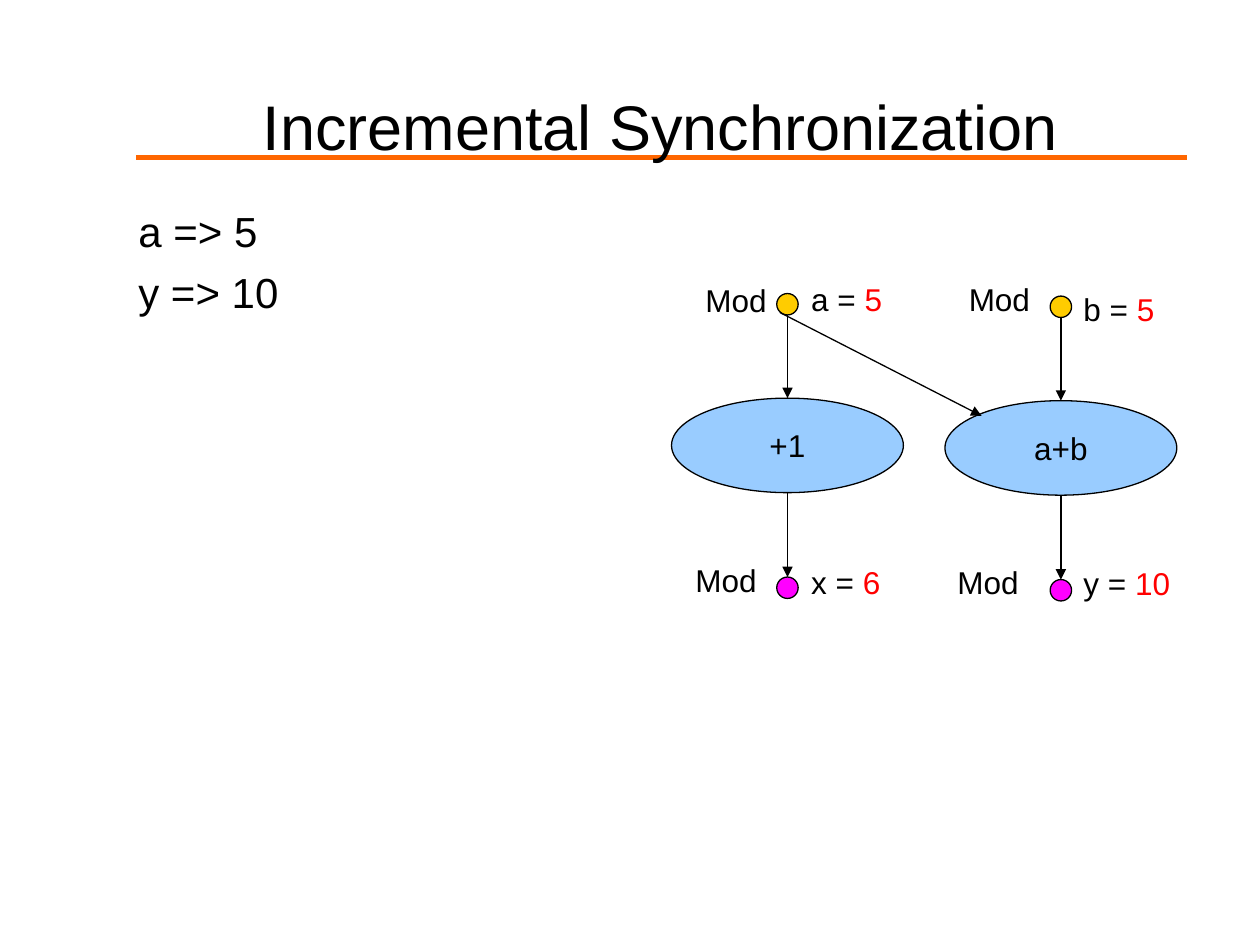
from lxml import etree
from pptx import Presentation
from pptx.dml.color import RGBColor
from pptx.enum.shapes import MSO_CONNECTOR, MSO_SHAPE
from pptx.enum.text import MSO_ANCHOR, MSO_AUTO_SIZE, PP_ALIGN
from pptx.oxml.ns import qn
from pptx.util import Inches, Pt

BLACK = RGBColor(0x00, 0x00, 0x00)
RED = RGBColor(0xFF, 0x00, 0x00)
ORANGE = RGBColor(0xFF, 0x66, 0x00)
GOLD = RGBColor(0xFF, 0xCC, 0x00)
PINK = RGBColor(0xFF, 0x00, 0xFF)
BLUE = RGBColor(0x99, 0xCC, 0xFF)
STRAIGHT = MSO_CONNECTOR.STRAIGHT
OVAL = MSO_SHAPE.OVAL
MIDDLE = MSO_ANCHOR.MIDDLE
GROW = MSO_AUTO_SIZE.SHAPE_TO_FIT_TEXT
CENTER = PP_ALIGN.CENTER
DOT = 0.17
NODE_W, NODE_H = 1.84, 0.75


def add_run(para, text, size, color=BLACK):
    """Add one Arial run to a paragraph."""
    run = para.add_run()
    run.text = text
    run.font.name = "Arial"
    run.font.size = Pt(size)
    run.font.color.rgb = color


def add_line(slide, start, end, color=BLACK, width=0.75, arrow=True):
    """Draw a straight line, with an arrowhead at its end if asked."""
    line = slide.shapes.add_connector(
        STRAIGHT, *(Inches(v) for v in (*start, *end)))
    line.line.color.rgb = color
    line.line.width = Pt(width)
    if arrow:
        etree.SubElement(line.line._get_or_add_ln(), qn("a:tailEnd"), type="triangle")
    etree.SubElement(line._element.spPr, qn("a:effectLst"))


def add_text(slide, box, wrap=True):
    """Place a text box and return its frame."""
    frame = slide.shapes.add_textbox(*(Inches(v) for v in box)).text_frame
    frame.word_wrap = wrap
    return frame


def add_label(slide, left, top, text, value=""):
    """Write a label, with its value in red."""
    width = 0.69 if not value else 0.63 + 0.13 * len(value)
    frame = add_text(slide, (left, top, width, 0.4), False)
    frame.auto_size = GROW
    add_run(frame.paragraphs[0], text, 18)
    if value:
        add_run(frame.paragraphs[0], value, 18, RED)


def add_oval(slide, box, fill, text=""):
    """Draw an outlined oval, with centred text if given."""
    oval = slide.shapes.add_shape(OVAL, *(Inches(v) for v in box))
    oval.shadow.inherit = False
    oval.fill.solid()
    oval.fill.fore_color.rgb = fill
    oval.line.color.rgb = BLACK
    oval.line.width = Pt(0.75)
    if text:
        frame = oval.text_frame
        frame.word_wrap = False
        frame.vertical_anchor = MIDDLE
        frame.paragraphs[0].alignment = CENTER
        add_run(frame.paragraphs[0], text, 18)


def add_title(slide, box, text):
    """Place the title over its orange rule."""
    add_line(slide, (1.08, 1.25), (9.42, 1.25), ORANGE, 2.75, False)
    frame = add_text(slide, box)
    frame.vertical_anchor = MIDDLE
    frame.paragraphs[0].alignment = CENTER
    add_run(frame.paragraphs[0], text, 36)


def add_body(slide, box, lines):
    """Write the body lines as paragraphs."""
    frame = add_text(slide, box)
    for i, text in enumerate(lines):
        para = frame.add_paragraph() if i else frame.paragraphs[0]
        if i:
            para.space_before = Pt(6)
        add_run(para, text, 24)


def add_flow(slide, left, top, name, labels):
    """Draw an input dot, a function node and an output dot in a column."""
    mid = left + NODE_W / 2
    node = top + 0.83
    last = top + 2.25
    for y, fill in ((top, GOLD), (last, PINK)):
        add_oval(slide, (mid - DOT / 2, y, DOT, DOT), fill)
    add_oval(slide, (left, node, NODE_W, NODE_H), BLUE, name)
    add_line(slide, (mid, top + DOT), (mid, node))
    add_line(slide, (mid, node + NODE_H), (mid, last))
    for dx, dy, *text in labels:
        add_label(slide, left + dx, top + dy, *text)


def main():
    """Build and save the slide."""
    deck = Presentation()
    deck.slide_width, deck.slide_height = Inches(10), Inches(7.5)
    slide = deck.slides.add_slide(deck.slide_layouts[6])
    add_title(slide, (0.91, 0.6, 8.66, 0.79), "Incremental Synchronization")
    add_body(slide, (1, 1.58, 4.17, 4.92), ("a => 5", "y => 10"))
    add_flow(slide, 5.33, 2.33, "+1", (
        (1.01, -0.16, "a = ", "5"), (1.01, 2.09, "x = ", "6"),
        (0.17, -0.15, "Mod"), (0.09, 2.07, "Mod")))
    add_flow(slide, 7.5, 2.35, "a+b", (
        (1, -0.1, "b = ", "5"), (1, 2.08, "y = ", "10"),
        (0.09, -0.18, "Mod"), (0, 2.07, "Mod")))
    add_line(slide, (6.19, 2.48), (7.79, 3.3))
    deck.save("out.pptx")


if __name__ == "__main__":
    main()
